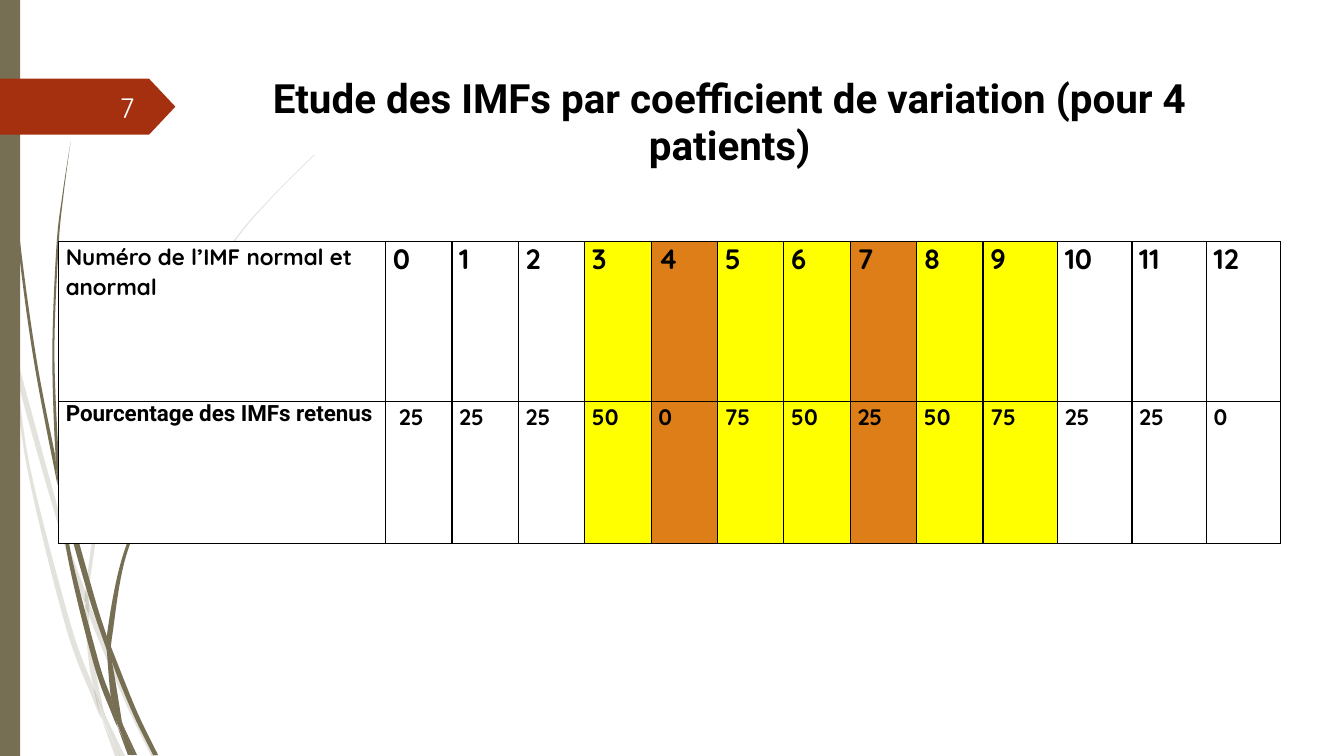
from lxml import etree
from pptx import Presentation
from pptx import util as u
from pptx.dml.color import RGBColor
from pptx.enum import shapes, text
from pptx.oxml import parse_xml
from pptx.oxml.ns import nsdecls, qn

COLORS = {"olive": "766F54", "red": "A53010", "white": "FFFFFF", "number": "FEFFFF",
          "black": "000000", "yellow": "FFFF00", "orange": "DE7E18"}


def bend(outline, edges):
    nodes = list(outline.iter(qn("a:moveTo"), qn("a:lnTo")))
    points = [(int(n[0].get("x")), int(n[0].get("y"))) for n in nodes]
    start = 0
    for edge in edges:
        stop = start + len(edge) - 1
        for i in range(start, stop):
            b, c = points[i], points[i + 1]
            a, d = points[max(i - 1, start)], points[min(i + 2, stop)]
            curve = etree.Element(qn("a:cubicBezTo"))
            for x, y in ([b[k] + (c[k] - a[k]) / 6 for k in (0, 1)],
                         [c[k] - (d[k] - b[k]) / 6 for k in (0, 1)], c):
                etree.SubElement(curve, qn("a:pt"), x=str(round(x)), y=str(round(y)))
            outline.replace(nodes[i + 1], curve)
        start = stop + 1


def style(r, size, font, color, bold):
    r.font.size, r.font.name, r.font.bold = u.Pt(size), font, bold
    r.font.color.rgb = RGBColor.from_string(COLORS[color])


prs = Presentation()
prs.slide_width, prs.slide_height = u.Pt(960), u.Pt(540)
s = prs.slides.add_slide(prs.slide_layouts[5])

light_stems = [
    ([(7.9, 252), (6.5, 231.8), (0, 203)], [(0, 215.3), (7.2, 247.7)]),
    ([(10.1, 248.4), (12.2, 270.7), (41.8, 375.8), (60.5, 431.3)],
     [(60.8, 421.9), (44.6, 374.4), (10.1, 248.4)]),
    ([(63.4, 429.1), (63.4, 439.2), (88.6, 499.7), (108, 540)],
     [(111.6, 540), (91.4, 498.2), (66.2, 437), (63.4, 429.1)]),
    ([(75.6, 511.9), (85.7, 540)], [(89.3, 540), (75.6, 511.9)]),
    ([(7.9, 252), (20.2, 338.4), (46.8, 447.1), (66.2, 499), (72.7, 514.1)],
     [(71.3, 509), (67, 491.8), (50.4, 445.7), (22.3, 337.7), (12.2, 270.7), (7.9, 252)]),
    ([(60.5, 431.3), (62.6, 465.1), (67, 491.8), (75.6, 511.9)],
     [(74.2, 508.3), (65.5, 465.1), (63.4, 439.2), (60.5, 431.3)]),
    ([(224.6, 110.2), (193, 141.8), (164.2, 175.7), (113.8, 250.6), (77, 331.9), (61.2, 420.5), (63.4, 429.1)],
     [(63.4, 420.5), (79.2, 332.6), (115.2, 251.3), (164.9, 176.4), (193, 142.6), (224.6, 110.9)]),
    ([(72.7, 514.1), (82.1, 540)], [(85.7, 540), (72.7, 514.1)]),
    ([(61.2, 421.9), (60.5, 431.3), (63.4, 437.8)], [(63.4, 439.2), (63.4, 429.1), (61.2, 421.9)]),
    ([(67, 491.8), (71.3, 509), (85.7, 540)], [(75.6, 511.9), (67, 491.8)]),
]
dark_stems = [
    ([(2.2, 0), (5, 79.2), (12.2, 167.8), (23.8, 255.6), (41, 346.3)],
     [(39.6, 326.2), (25.9, 255.6), (13.7, 167), (5.8, 78.5), (2.9, 0)]),
    ([(43.2, 339.8), (46.1, 363.6), (63.4, 426.2), (76.3, 464.4)],
     [(76.3, 454.3), (67, 424.8), (43.2, 339.8)]),
    ([(79.2, 461.5), (79.9, 472.3), (95, 509.8), (109.4, 539.3)],
     [(113, 539.3), (97.9, 508.3), (81.4, 467.3), (79.2, 461.5)]),
    ([(41, 343.4), (49, 401), (67, 474.5), (79.9, 509.8), (84.2, 519.8)],
     [(79.2, 497.5), (70.6, 473), (51.8, 400.3), (46.1, 363.6), (41, 343.4)]),
    ([(50.4, 101.5), (44.6, 139), (40.3, 176.4), (37.4, 251.3), (39.6, 323.3), (43.2, 339.8)],
     [(41.8, 326.2), (38.9, 251.3), (41.8, 176.4), (45.4, 139), (50.4, 101.5)]),
    ([(87.8, 517.7), (95.8, 539.3)], [(97.9, 539.3), (87.8, 517.7)]),
    ([(39.6, 323.3), (41, 343.4), (46.1, 363.6)], [(43.2, 339.8), (39.6, 323.3)]),
    ([(187.2, 247.7), (166.3, 268.6), (146.9, 291.6), (112.3, 341.3), (87.8, 396.7), (76.3, 454.3), (79.2, 461.5)],
     [(79.9, 455.8), (90, 397.4), (113.8, 342.7), (147.6, 292.3), (166.3, 269.3), (187.9, 247.7)]),
    ([(84.2, 519.8), (91.4, 539.3)], [(94.3, 539.3), (84.2, 519.8)]),
    ([(76.3, 464.4), (79.2, 497.5), (83.5, 508.3), (87.8, 517.7)],
     [(87.1, 515.5), (79.9, 472.3), (76.3, 464.4)]),
    ([(76.3, 454.3), (76.3, 464.4), (79.9, 472.3)], [(79.2, 461.5), (76.3, 454.3)]),
    ([(79.2, 497.5), (83.5, 516.2), (93.6, 539.3)], [(95.8, 539.3), (87.8, 517.7), (79.2, 497.5)]),
]
for stems, opacity in ((light_stems, 20), (dark_stems, 100)):
    for edges in stems:
        points = [(u.Pt(x), u.Pt(y)) for edge in edges for x, y in edge]
        builder = s.shapes.build_freeform(*points[0])
        builder.add_line_segments(points[1:], close=True)
        sp = builder.convert_to_shape()
        bend(next(sp._element.iter(qn("a:path"))), edges)
        sp.shadow.inherit = False
        sp.line.fill.background()
        sp.fill.solid()
        sp.fill.fore_color.rgb = RGBColor.from_string(COLORS["olive"])
        if opacity < 100:
            color = sp._element.spPr.find(qn("a:solidFill"))[0]
            etree.SubElement(color, qn("a:alpha")).set("val", str(opacity * 1000))

for kind, box, color in ((shapes.MSO_SHAPE.RECTANGLE, (0, 0, 14.4, 540), "olive"),
                         (shapes.MSO_SHAPE.PENTAGON, (0, 56.2, 125.3, 40), "red")):
    sp = s.shapes.add_shape(kind, *map(u.Pt, box))
    sp.shadow.inherit = False
    sp.line.fill.background()
    sp.fill.solid()
    sp.fill.fore_color.rgb = RGBColor.from_string(COLORS[color])
sp.adjustments[0] = 0.47

title = s.shapes.title
title.left, title.top, title.width, title.height = map(u.Pt, (127.4, 50.4, 787.7, 69.8))
number = s.shapes.add_textbox(*map(u.Pt, (41.8, 61.9, 61.2, 28.8)))
for sp, label, size, font, color, bold, align, anchor in (
        (title, "Etude des IMFs par coefficient de variation (pour 4 patients)", 28.8, "Roboto",
         "black", True, text.PP_ALIGN.CENTER, text.MSO_ANCHOR.TOP),
        (number, "7", 20, "Quicksand", "number", False, text.PP_ALIGN.RIGHT, text.MSO_ANCHOR.MIDDLE)):
    tf = sp.text_frame
    tf.text = label
    tf.word_wrap, tf.auto_size, tf.vertical_anchor = True, text.MSO_AUTO_SIZE.NONE, anchor
    p = tf.paragraphs[0]
    p.alignment = align
    style(p.runs[0], size, font, color, bold)
title.text_frame.paragraphs[0].line_spacing = 0.98

rows = [["Numéro de l’IMF normal et anormal", *range(13)],
        ["Pourcentage des IMFs retenus", 25, 25, 25, 50, 0, 75, 50, 25, 50, 75, 25, 25, 0]]
fills = ["white"] * 4 + ["yellow", "orange", "yellow", "yellow", "orange", "yellow", "yellow"] + ["white"] * 3
widths = [233.6] + [47.45] * 9 + [53.2] * 4
heights = [114, 101.8]
table = s.shapes.add_table(2, 14, u.Pt(41.8), u.Pt(172.6), u.Pt(sum(widths)), u.Pt(sum(heights))).table
for column, width in zip(table.columns, widths):
    column.width = u.Pt(width)
for i, values in enumerate(rows):
    table.rows[i].height = u.Pt(heights[i])
    for j, value in enumerate(values):
        cell = table.cell(i, j)
        cell.margin_left = u.Pt(9.6 if (i, j) == (1, 1) else 5.2)
        cell.margin_right = u.Pt(5.2)
        cell.margin_top = cell.margin_bottom = 0
        cell.vertical_anchor = text.MSO_ANCHOR.TOP
        p = cell.text_frame.paragraphs[0]
        p.text = str(value)
        p.line_spacing = 1.07 if (i == 0) == (j == 0) else 1.0
        style(p.runs[0], 20 if i == 0 and j else 16,
              "Roboto" if (i, j) == (1, 0) else "Quicksand", "black", True)
        tcPr = cell._tc.get_or_add_tcPr()
        for side in ("lnL", "lnR", "lnT", "lnB"):
            tcPr.append(parse_xml(
                f'<a:{side} {nsdecls("a")} w="12700"><a:solidFill>'
                f'<a:srgbClr val="{COLORS["black"]}"/></a:solidFill></a:{side}>'))
        cell.fill.solid()
        cell.fill.fore_color.rgb = RGBColor.from_string(COLORS[fills[j]])

prs.save("out.pptx")
